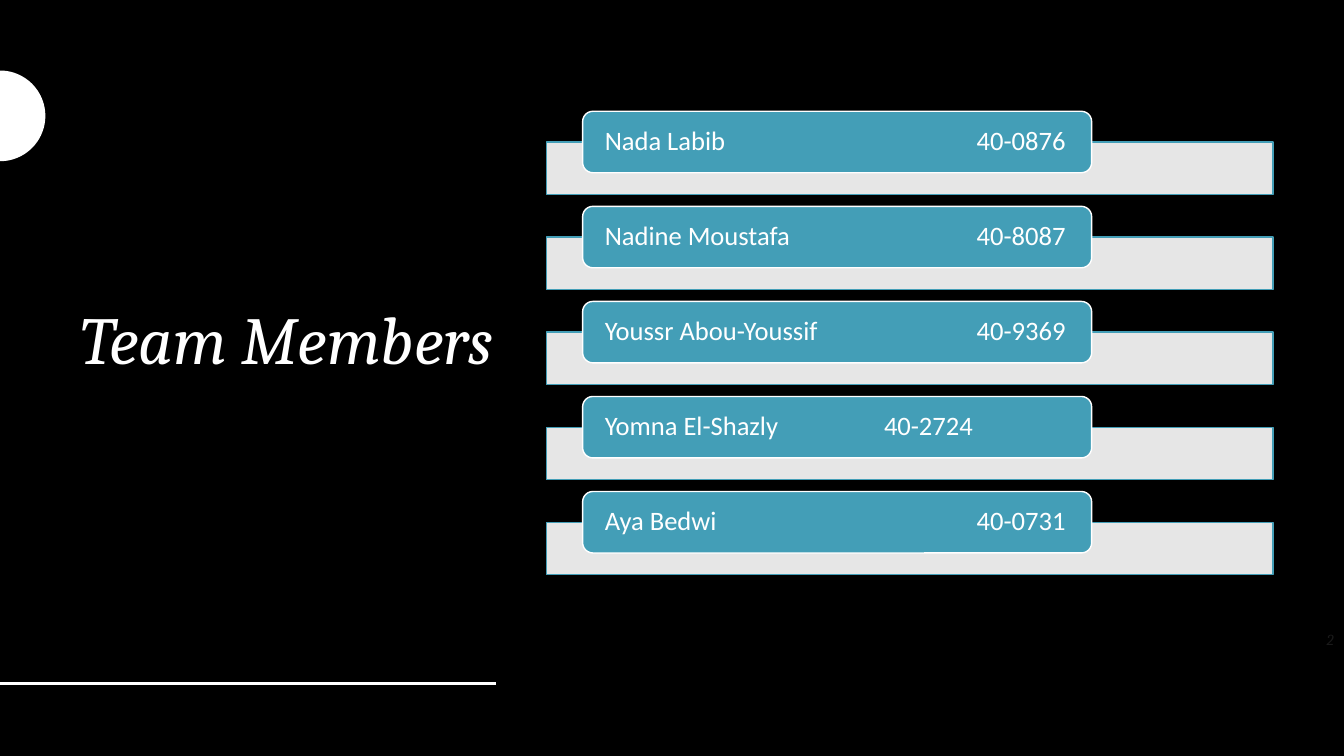
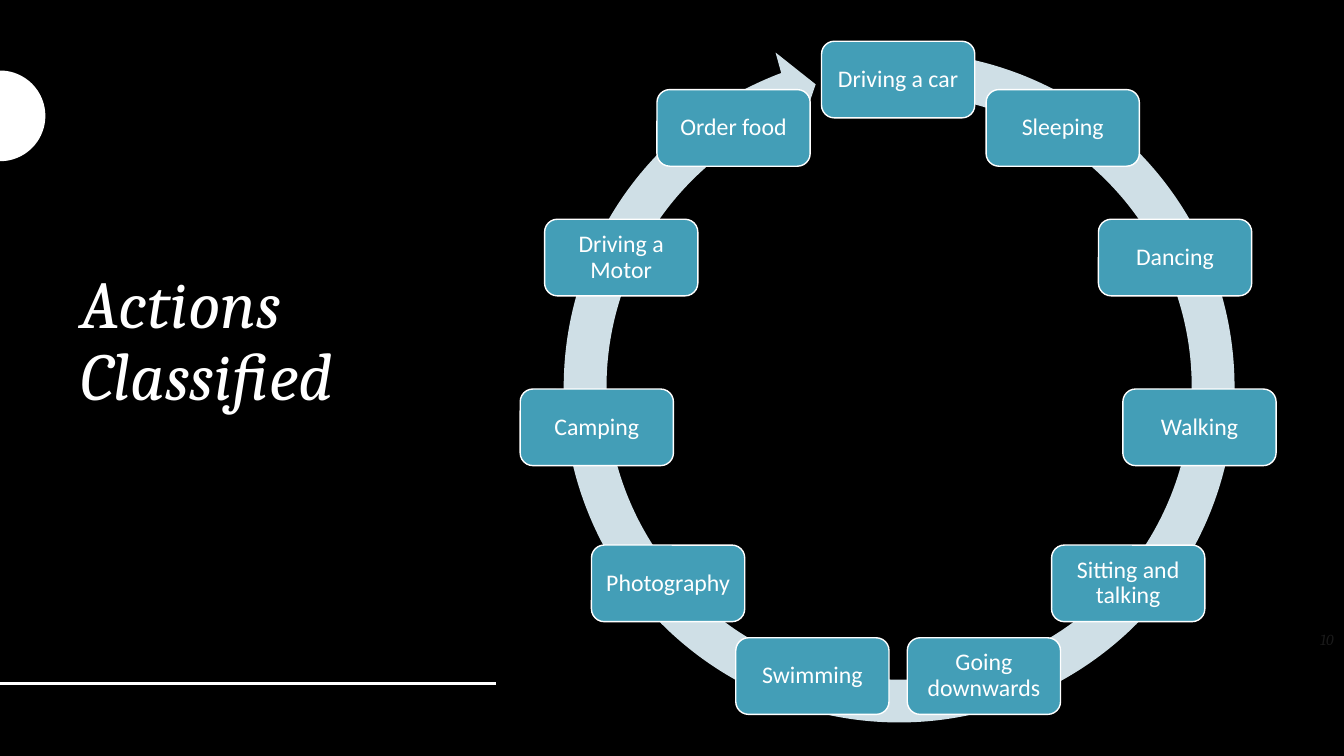
"""Builds two dark slides: a team list and a ring of classified actions."""
import math
from dataclasses import dataclass

import lxml.etree
import pptx
import pptx.dml.color
import pptx.enum.shapes
import pptx.enum.text
import pptx.oxml.ns
import pptx.util

SHAPE = pptx.enum.shapes.MSO_SHAPE
ALIGN = pptx.enum.text.PP_ALIGN
ANCHOR = pptx.enum.text.MSO_ANCHOR
COLUMNS, ROWS = 133.33, 75


@dataclass(frozen=True)
class Theme:
    black: str = "000000"
    white: str = "FFFFFF"
    teal: str = "439EB7"
    pale: str = "CFDFE6"
    faint: str = "1A1A1A"
    heading_font: str = "Cambria"
    body_font: str = "Calibri"
    title_size: int = 48
    name_size: int = 19
    action_size: int = 17
    number_size: int = 11
    outline: int = 1
    rule: int = 2


def cells(count):
    return pptx.util.Inches(count / 10)


def colour(value):
    return pptx.dml.color.RGBColor.from_string(value)


def add_xml(parent, tag, **attributes):
    return lxml.etree.SubElement(parent, pptx.oxml.ns.qn(tag), attributes)


def assign(target, values):
    for name, value in values.items():
        setattr(target, name, value)


class Board:
    def __init__(self, theme):
        self.theme = theme
        self.deck = pptx.Presentation()
        assign(self.deck, {"slide_width": cells(COLUMNS), "slide_height": cells(ROWS)})
        self.page = None

    def start_page(self, title, number):
        theme = self.theme
        self.page = self.deck.slides.add_slide(self.deck.slide_layouts[6])
        fill = self.page.background.fill
        fill.solid()
        fill.fore_color.rgb = colour(theme.black)
        heading = {"name": theme.heading_font, "italic": True}
        self.text_box((7, 7, 43, 54), title,
                      {**heading, "size": theme.title_size}, theme.white)
        self.text_box((122, 61.5, 11.3, 4), number,
                      {**heading, "size": theme.number_size}, theme.faint, ALIGN.RIGHT)
        self.half_disc(0, 11.5, 4.5)
        self.rule((0, 67.8), (49.2, 67.8))

    def paint(self, shape, fill, line=None, opacity=None):
        shape.shadow.inherit = False
        shape.fill.solid()
        shape.fill.fore_color.rgb = colour(fill)
        if opacity:
            tone = shape._element.spPr.find(".//" + pptx.oxml.ns.qn("a:srgbClr"))
            add_xml(tone, "a:alpha", val=str(opacity * 1000))
        if line:
            shape.line.color.rgb = colour(line)
            shape.line.width = pptx.util.Pt(self.theme.outline)
        else:
            shape.line.fill.background()

    def set_text(self, box, text, font, tone, align=ALIGN.LEFT, margins=(1, 0.5)):
        across, down = map(cells, margins)
        assign(box.text_frame, {
            "word_wrap": True, "vertical_anchor": ANCHOR.MIDDLE,
            "margin_left": across, "margin_right": across,
            "margin_top": down, "margin_bottom": down})
        para = box.text_frame.paragraphs[0]
        assign(para, {"alignment": align, "line_spacing": 0.9})
        span = para.add_run()
        span.text = text
        assign(span.font, {**font, "size": pptx.util.Pt(font["size"])})
        span.font.color.rgb = colour(tone)
        return para

    def text_box(self, area, text, font, tone, align=ALIGN.LEFT):
        box = self.page.shapes.add_textbox(*map(cells, area))
        self.set_text(box, text, font, tone, align)

    def shape(self, kind, area, fill, line=None, opacity=None):
        shape = self.page.shapes.add_shape(kind, *map(cells, area))
        self.paint(shape, fill, line, opacity)
        return shape

    def label(self, area, text, size, align, margins, tab=None):
        theme = self.theme
        box = self.shape(SHAPE.ROUNDED_RECTANGLE, area, theme.teal, theme.white)
        font = {"name": theme.body_font, "size": size}
        para = self.set_text(box, text, font, theme.white, align, margins)
        if tab:
            stops = add_xml(para._p.get_or_add_pPr(), "a:tabLst")
            add_xml(stops, "a:tab", pos=str(cells(tab)), algn="l")

    def half_disc(self, left, middle, radius):
        steps = 48
        angles = [math.pi * (step / steps - 0.5) for step in range(steps + 1)]
        points = [(cells(left + radius * math.cos(angle)),
                   cells(middle + radius * math.sin(angle))) for angle in angles]
        outline = self.page.shapes.build_freeform(*points[0])
        outline.add_line_segments(points[1:], close=True)
        self.paint(outline.convert_to_shape(), self.theme.white)

    def rule(self, start, end):
        line = self.page.shapes.add_connector(
            pptx.enum.shapes.MSO_CONNECTOR.STRAIGHT, *map(cells, start + end))
        line.line.color.rgb = colour(self.theme.white)
        line.line.width = pptx.util.Pt(self.theme.rule)
        add_xml(line._element.spPr, "a:effectLst")

    def ring_arrow(self, area, adjustments):
        arrow = self.shape(SHAPE.CIRCULAR_ARROW, area, self.theme.pale)
        for index, value in enumerate(adjustments):
            arrow.adjustments[index] = value


def team_page(board):
    theme = board.theme
    board.start_page("Team Members", "2")
    far_tab, near_tab = 36.9, 27.7
    members = [
        ("Nada Labib", "40-0876", far_tab),
        ("Nadine Moustafa", "40-8087", far_tab),
        ("Youssr Abou-Youssif", "40-9369", far_tab),
        ("Yomna El-Shazly", "40-2724", near_tab),
        ("Aya Bedwi", "40-0731", far_tab),
    ]
    for index, (name, code, tab) in enumerate(members):
        top = 11.04 + 9.43 * index
        board.shape(SHAPE.RECTANGLE, (54.2, top + 3.05, 72.1, 5.2),
                    theme.white, theme.teal, opacity=90)
        board.label((57.8, top, 50.5, 6.1), f"{name}\t{code}",
                    theme.name_size, ALIGN.LEFT, (1.9, 0), tab)


def actions_page(board):
    board.start_page("Actions Classified", "10")
    board.ring_arrow((53.8, 3, 70.8, 70.8), (0.06, 3.31, 149.44, 167.09, 0.06))
    actions = ["Driving a car", "Sleeping", "Dancing", "Walking",
               "Sitting and talking", "Going downwards", "Swimming",
               "Photography", "Camping", "Driving a Motor", "Order food"]
    centre_x, centre_y, radius = 89.1, 38.1, 30.2
    width, height = 15.2, 7.6
    for index, action in enumerate(actions):
        angle = math.tau * index / len(actions)
        left = centre_x + radius * math.sin(angle) - width / 2
        top = centre_y - radius * math.cos(angle) - height / 2
        board.label((left, top, width, height), action,
                    board.theme.action_size, ALIGN.CENTER, (0.7, 0.7))


def main():
    board = Board(Theme())
    team_page(board)
    actions_page(board)
    board.deck.save("out.pptx")


if __name__ == "__main__":
    main()
